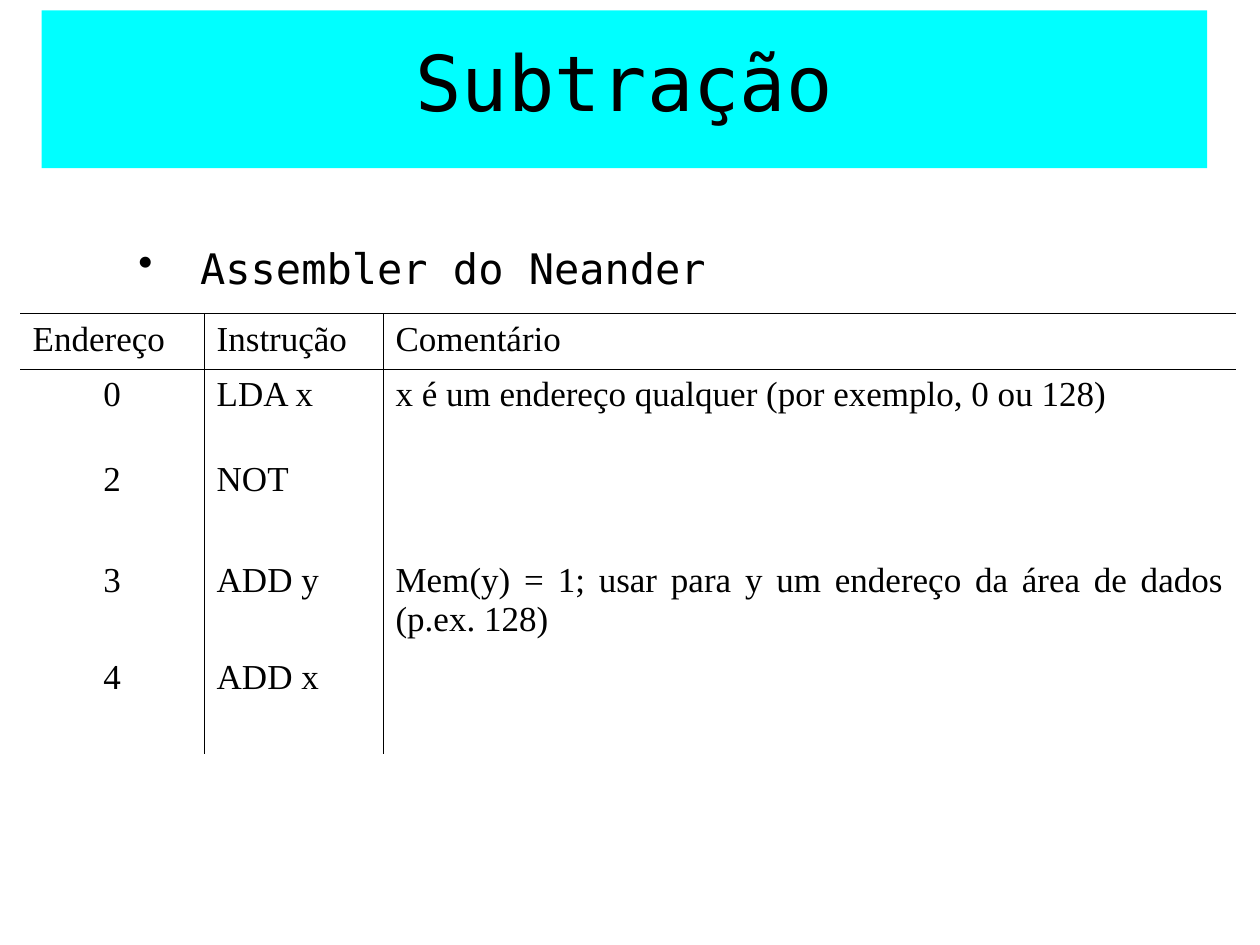
import pptx
import pptx.dml.color
import pptx.enum.text
import pptx.oxml.ns
import pptx.util
from lxml import etree

COLORS = {"ink": "000000", "banner": "00FFFF"}
MONO, SERIF = "DejaVu Sans Mono", "Times New Roman"
ALIGN = pptx.enum.text.PP_ALIGN
ANCHOR = pptx.enum.text.MSO_ANCHOR
SLIDE_W, SLIDE_H = pptx.util.Inches(10), pptx.util.Inches(7.5)

COLUMNS = [1.46, 1.42, 6.77]
ROWS = [0.44, 0.67, 0.81, 0.77, 0.81]
PROGRAM = [
    ["Endereço", "Instrução", "Comentário"],
    ["0", "LDA x", "x é um endereço qualquer (por exemplo, 0 ou 128)"],
    ["2", "NOT", ""],
    ["3", "ADD y", "Mem(y) = 1; usar para y um endereço da área de dados (p.ex. 128)"],
    ["4", "ADD x", ""],
]


def share_box(left, top, width, height):
    """Turn shares of the slide into a box of lengths."""
    return (int(left * SLIDE_W), int(top * SLIDE_H),
            int(width * SLIDE_W), int(height * SLIDE_H))


def add_child(parent, tag, **attributes):
    child = etree.SubElement(parent, pptx.oxml.ns.qn(tag))
    for key, value in attributes.items():
        child.set(key, str(value))
    return child


def write(frame, text, *, size, font, align=ALIGN.LEFT, spacing=None, bullet_indent=None):
    paragraph = frame.paragraphs[0]
    paragraph.alignment = align
    if spacing:
        paragraph.line_spacing = spacing
    if bullet_indent:
        properties = paragraph._p.get_or_add_pPr()
        properties.set("marL", str(bullet_indent))
        properties.set("indent", str(-bullet_indent))
        add_child(properties, "a:buChar", char="•")
    paragraph.font.size = pptx.util.Pt(size)
    if text:
        run = paragraph.add_run()
        run.text = text
        run.font.size = pptx.util.Pt(size)
        run.font.name = font
        run.font.color.rgb = pptx.dml.color.RGBColor.from_string(COLORS["ink"])


def place_title(slide, box):
    title = slide.shapes.title
    title.left, title.top, title.width, title.height = box
    title.fill.solid()
    title.fill.fore_color.rgb = pptx.dml.color.RGBColor.from_string(COLORS["banner"])
    title.text_frame.vertical_anchor = ANCHOR.MIDDLE
    write(title.text_frame, "Subtração", size=44, font=MONO,
          align=ALIGN.CENTER, spacing=0.8)


def place_topic(slide, box):
    topic = slide.shapes.add_textbox(*box).text_frame
    topic.word_wrap = True
    write(topic, "Assembler do Neander", size=24, font=MONO,
          bullet_indent=pptx.util.Inches(0.49))


def draw_borders(cell, sides):
    properties = cell._tc.get_or_add_tcPr()
    for side in "LRTB":
        line = add_child(properties, f"a:ln{side}", w=pptx.util.Pt(0.45))
        if side in sides:
            add_child(add_child(line, "a:solidFill"), "a:srgbClr", val=COLORS["ink"])
        else:
            add_child(line, "a:noFill")


def place_program(slide, box):
    left, top, width, height = box
    table = slide.shapes.add_table(len(ROWS), len(COLUMNS), *box).table
    table.first_row = table.horz_banding = False
    for column, part in zip(table.columns, COLUMNS):
        column.width = int(width * part / sum(COLUMNS))
    for row, part in zip(table.rows, ROWS):
        row.height = int(height * part / sum(ROWS))

    for r, texts in enumerate(PROGRAM):
        for c, text in enumerate(texts):
            cell = table.cell(r, c)
            # Rules run between columns, and above and below the header
            sides = "L" * (c > 0) + "R" * (c < len(COLUMNS) - 1)
            sides += "TB" if r == 0 else "T" * (r == 1)
            draw_borders(cell, sides)
            cell.fill.background()
            is_address = c == 0 and r > 0
            write(cell.text_frame, text, size=20, font=SERIF,
                  align=ALIGN.CENTER if is_address else ALIGN.JUSTIFY)


def main():
    deck = pptx.Presentation()
    deck.slide_width, deck.slide_height = SLIDE_W, SLIDE_H
    slide = deck.slides.add_slide(deck.slide_layouts.get_by_name("Title Only"))
    place_title(slide, share_box(0.033, 0.011, 0.925, 0.167))
    place_topic(slide, share_box(0.1, 0.25, 0.808, 0.067))
    place_program(slide, share_box(0.016, 0.332, 0.965, 0.466))
    deck.save("out.pptx")


if __name__ == "__main__":
    main()
